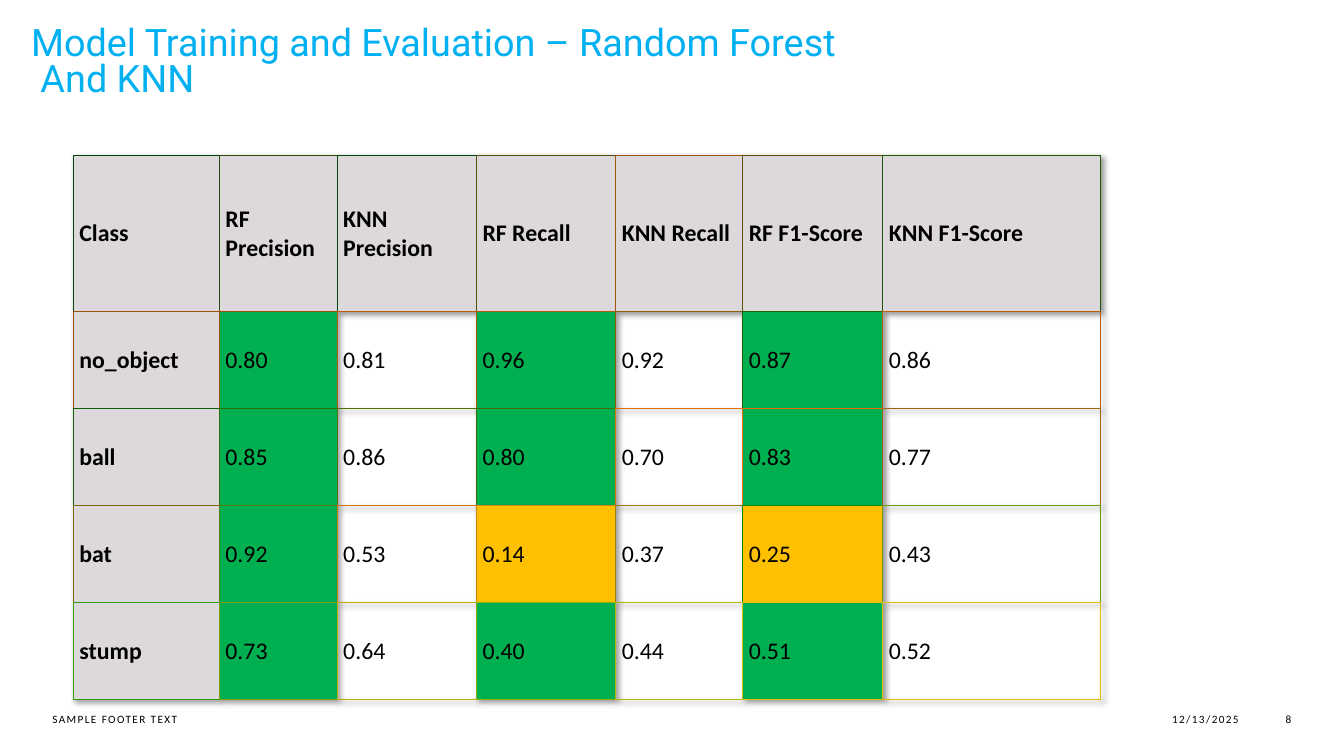
from lxml import etree
from pptx import Presentation
from pptx.dml.color import RGBColor
from pptx.enum.text import MSO_ANCHOR, PP_ALIGN
from pptx.oxml import parse_xml
from pptx.oxml.ns import nsdecls, qn
from pptx.util import Cm, Pt

MIDDLE = MSO_ANCHOR.MIDDLE
LEFT, RIGHT = PP_ALIGN.LEFT, PP_ALIGN.RIGHT

BLACK, SKY, GREY = "000000", "00B0F0", "DCD8DC"
GREEN, AMBER = "00B050", "FFC000"

COL_WIDTHS = [3.68, 2.97, 3.51, 3.51, 3.2, 3.53, 5.49]
ROW_HEIGHTS = [3.94, 2.44, 2.44, 2.44, 2.44]
SCORES = [
    ["Class", "RF Precision", "KNN Precision", "RF Recall", "KNN Recall",
     "RF F1-Score", "KNN F1-Score"],
    ["no_object", "0.80", "0.81", "0.96", "0.92", "0.87", "0.86"],
    ["ball", "0.85", "0.86", "0.80", "0.70", "0.83", "0.77"],
    ["bat", "0.92", "0.53", "0.14", "0.37", "0.25", "0.43"],
    ["stump", "0.73", "0.64", "0.40", "0.44", "0.51", "0.52"],
]
BORDERS = [
    ["004509", "304B09", "004809", "505209", "A05309", "605109", "205809"],
    ["A05009", "A04D09", "C05A09", "B05B09", "905D09", "206109", "C05A09"],
    ["105C09", "306F09", "507009", "406B09", "E07009", "F06C09", "A06509"],
    ["806709", "507C09", "D07409", "D08309", "A07D09", "108909", "709B09"],
    ["309C09", "809D09", "C0AB09", "90B109", "B0BB09", "E0BB09", "E0BE09"],
]


def rgb(color):
    """Turn a hex string into a colour."""
    return RGBColor.from_string(color)


def add_run(p, text, font, size, color=BLACK, bold=False):
    """Append a formatted run to a paragraph."""
    r = p.add_run()
    r.text = text
    r.font.name = font
    r.font.size = Pt(size)
    r.font.bold = bold
    r.font.color.rgb = rgb(color)
    return r


def set_title(s, lines):
    """Place the title and fill it line by line."""
    sp = s.shapes.title
    sp.left, sp.top, sp.width, sp.height = Cm(0.53), Cm(0.64), Cm(32.26), Cm(1.93)
    tf = sp.text_frame
    tf.word_wrap = True
    tf.vertical_anchor = MIDDLE
    p = tf.paragraphs[0]
    p.alignment = LEFT
    p.line_spacing = 0.8
    for i, line in enumerate(lines):
        if i:
            p.add_line_break()
        add_run(p, line, "Roboto", 27, SKY)


def add_footer(s, text, left, width, align):
    """Add a small letter-spaced text at the foot of the slide."""
    tf = s.shapes.add_textbox(Cm(left), Cm(17.62), Cm(width), Cm(1.02)).text_frame
    tf.word_wrap = True
    tf.vertical_anchor = MIDDLE
    p = tf.paragraphs[0]
    p.alignment = align
    p.space_after = Pt(6)
    r = add_run(p, text, "Calibri", 8)
    r.font._element.set("spc", "100")


def set_borders(cell, row, col):
    """Draw own colour left and top, the neighbours' colours right and bottom."""
    own = BORDERS[row][col]
    right = BORDERS[row][min(col + 1, len(COL_WIDTHS) - 1)]
    bottom = BORDERS[min(row + 1, len(ROW_HEIGHTS) - 1)][col]
    tc_pr = cell._tc.get_or_add_tcPr()
    sides = {"lnL": own, "lnR": right, "lnT": own, "lnB": bottom}
    for i, (side, color) in enumerate(sides.items()):
        ln = etree.Element(qn(f"a:{side}"), w=str(Pt(0.75)))
        fill = etree.SubElement(ln, qn("a:solidFill"))
        etree.SubElement(fill, qn("a:srgbClr"), val=color)
        tc_pr.insert(i, ln)


def cell_fill(row, col):
    """Give the fill of a cell: grey headings, green or amber RF scores."""
    if row == 0 or col == 0:
        return GREY
    if col % 2 == 0:
        return None
    return AMBER if float(SCORES[row][col]) < 0.3 else GREEN


def fill_cell(cell, row, col):
    """Format one cell and write its text."""
    cell.margin_left = cell.margin_right = Cm(0.15)
    cell.margin_top = cell.margin_bottom = Cm(0.1)
    cell.vertical_anchor = MIDDLE
    color = cell_fill(row, col)
    if color:
        cell.fill.solid()
        cell.fill.fore_color.rgb = rgb(color)
    else:
        cell.fill.background()
    set_borders(cell, row, col)
    heading = row == 0 or col == 0
    add_run(cell.text_frame.paragraphs[0], SCORES[row][col], "Calibri", 17, bold=heading)


def add_shadow(table):
    """Give the table a soft shadow to the lower right."""
    table._tbl.tblPr.insert(0, parse_xml(
        f'<a:effectLst {nsdecls("a")}>'
        '<a:outerShdw blurRad="50800" dist="38100" dir="2700000" algn="tl" rotWithShape="0">'
        '<a:srgbClr val="000000"><a:alpha val="40000"/></a:srgbClr>'
        '</a:outerShdw></a:effectLst>'))


def add_score_table(s):
    """Add the table of scores per class."""
    table = s.shapes.add_table(
        len(ROW_HEIGHTS), len(COL_WIDTHS), Cm(1.85), Cm(3.92),
        Cm(sum(COL_WIDTHS)), Cm(sum(ROW_HEIGHTS))).table
    table.first_row = table.horz_banding = False
    add_shadow(table)
    for column, width in zip(table.columns, COL_WIDTHS):
        column.width = Cm(width)
    for row, height in enumerate(ROW_HEIGHTS):
        table.rows[row].height = Cm(height)
        for col in range(len(COL_WIDTHS)):
            fill_cell(table.cell(row, col), row, col)


def main():
    """Build the slide and save it."""
    prs = Presentation()
    prs.slide_width, prs.slide_height = Cm(33.87), Cm(19.05)
    s = prs.slides.add_slide(prs.slide_layouts[5])
    set_title(s, ["Model Training and Evaluation – Random Forest", " And KNN"])
    add_footer(s, "SAMPLE FOOTER TEXT", 1.07, 8.89, LEFT)
    add_footer(s, "12/13/2025", 26.47, 5, RIGHT)
    add_footer(s, "8", 31.6, 1.19, RIGHT)
    add_score_table(s)
    prs.save("out.pptx")


if __name__ == "__main__":
    main()
